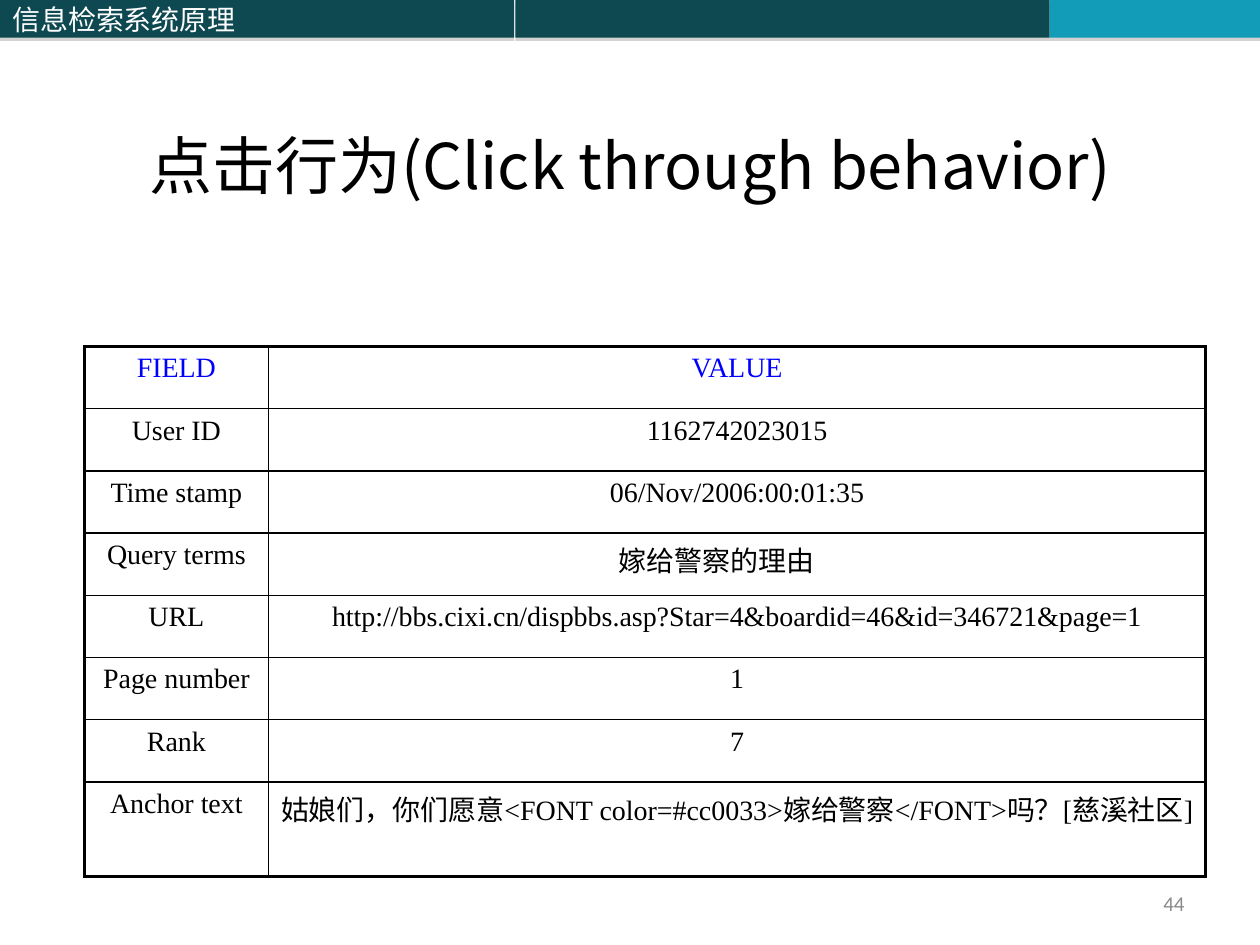
"""Build the click-through behavior slide with its log record table."""
from dataclasses import dataclass

from lxml import etree
from pptx import Presentation
from pptx import util as u
from pptx.dml.color import RGBColor
from pptx.enum import shapes, text
from pptx.oxml import ns


@dataclass(frozen=True)
class Theme:
    """Colours, fonts and type sizes of the slide."""
    dark: str = "0E4851"
    accent: str = "139CB7"
    white: str = "FFFFFF"
    black: str = "000000"
    heading: str = "0000FF"
    grey: str = "898989"
    shadow: str = "808080"
    sans: str = "Calibri"
    cjk: str = "Noto Sans CJK SC"
    serif: str = "Times New Roman"
    title: int = 36
    body: int = 16
    small: int = 12


THEME = Theme()
BANDS = [
    (0, 4.08, THEME.dark, "信息检索系统原理"),
    (4.09, 4.24, THEME.dark, ""),
    (8.33, 1.67, THEME.accent, ""),
]
RECORD = [
    ("FIELD", "VALUE"),
    ("User ID", "1162742023015"),
    ("Time stamp", "06/Nov/2006:00:01:35"),
    ("Query terms", "嫁给警察的理由\t"),
    ("URL", "http://bbs.cixi.cn/dispbbs.asp?Star=4&boardid=46&id=346721&page=1"),
    ("Page number", "1"),
    ("Rank", "7"),
    ("Anchor text", "姑娘们，你们愿意<FONT color=#cc0033>嫁给警察</FONT>吗？[慈溪社区]"),
]


def rgb(value):
    """Return the colour object for a hex string."""
    return RGBColor.from_string(value)


def sub(parent, tag, **attrs):
    """Append a DrawingML element and return it."""
    return etree.SubElement(parent, ns.qn(tag), {k: str(v) for k, v in attrs.items()})


def write(tf, words, size, font, color, align):
    """Write one styled paragraph into a text frame."""
    p = tf.paragraphs[0]
    p.add_run().text = words
    p.alignment = align
    p.font.size = u.Pt(size)
    p.font.name = font
    p.font.color.rgb = rgb(color)


def add_band(s, left, width, fill, words):
    """Add one segment of the top bar with a soft drop shadow."""
    sp = s.shapes.add_shape(shapes.MSO_SHAPE.RECTANGLE, u.Inches(left), 0,
                            u.Inches(width), u.Inches(0.3))
    sp.fill.solid()
    sp.fill.fore_color.rgb = rgb(fill)
    sp.line.fill.background()
    sp.shadow.inherit = False
    effects = sp._element.spPr.find(ns.qn("a:effectLst"))
    shadow = sub(effects, "a:outerShdw", blurRad=0, dist=u.Pt(1.8), dir=5400000, rotWithShape=0)
    sub(sub(shadow, "a:srgbClr", val=THEME.shadow), "a:alpha", val=35000)
    if words:
        tf = sp.text_frame
        tf.vertical_anchor = text.MSO_ANCHOR.MIDDLE
        write(tf, words, THEME.body, THEME.sans, THEME.white, text.PP_ALIGN.LEFT)


def add_text(s, box, *style):
    """Add a wrapped, vertically centred text box."""
    tf = s.shapes.add_textbox(*map(u.Inches, box)).text_frame
    tf.word_wrap = True
    tf.vertical_anchor = text.MSO_ANCHOR.MIDDLE
    write(tf, *style)


def set_hanging(p):
    """Give a paragraph a hanging indent and a tab stop."""
    p_pr = p._p.get_or_add_pPr()
    p_pr.set("marL", str(u.Inches(0.38)))
    p_pr.set("indent", str(u.Inches(-0.38)))
    sub(sub(p_pr, "a:tabLst"), "a:tab", pos=u.Inches(2), algn="l")


def set_borders(cell, widths):
    """Draw the left, right, top and bottom borders of a cell."""
    tc_pr = cell._tc.get_or_add_tcPr()
    for i, (side, width) in enumerate(zip("LRTB", widths)):
        ln = sub(tc_pr, f"a:ln{side}", w=u.Pt(width))
        sub(sub(ln, "a:solidFill"), "a:srgbClr", val=THEME.black)
        tc_pr.insert(i, ln)


def add_record_table(s, rows):
    """Add the two-column table with a heavier outer frame."""
    table = s.shapes.add_table(len(rows), 2, u.Inches(0.67), u.Inches(2.75),
                               u.Inches(8.9), u.Inches(3.95)).table
    table.first_row = table.horz_banding = False
    for column, width in zip(table.columns, (1.46, 7.44)):
        column.width = u.Inches(width)
    last = len(rows) - 1
    table.rows[last].height = u.Inches(0.75)
    for r, row in enumerate(rows):
        for c, words in enumerate(row):
            cell = table.cell(r, c)
            cell.fill.background()
            set_hanging(cell.text_frame.paragraphs[0])
            color = THEME.black if r else THEME.heading
            write(cell.text_frame, words, THEME.body, THEME.serif, color,
                  text.PP_ALIGN.CENTER)
            outer = (c == 0, c == 1, r == 0, r == last)
            set_borders(cell, [2 if edge else 1 for edge in outer])


def main():
    """Build and save the slide."""
    prs = Presentation()
    prs.slide_width, prs.slide_height = u.Inches(10), u.Inches(7.5)
    s = prs.slides.add_slide(prs.slide_layouts[6])
    for band in BANDS:
        add_band(s, *band)
    add_text(s, (7.42, 6.92, 2.08, 0.5), "44", THEME.small, THEME.sans, THEME.grey,
             text.PP_ALIGN.RIGHT)
    add_text(s, (0, 0.68, 10, 1.25), "点击行为(Click through behavior)", THEME.title,
             THEME.cjk, THEME.black, text.PP_ALIGN.CENTER)
    add_record_table(s, RECORD)
    prs.save("out.pptx")


if __name__ == "__main__":
    main()
